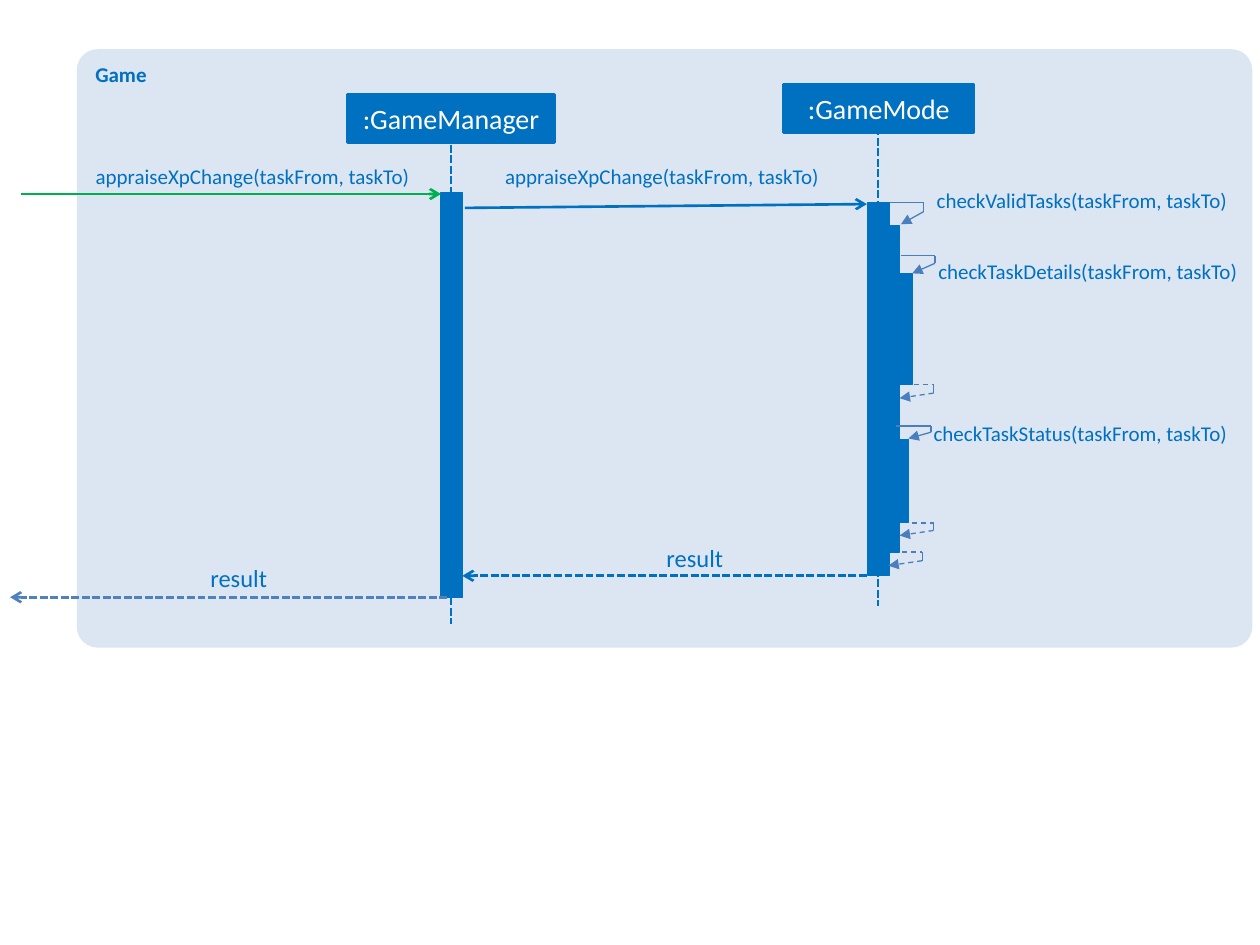
from typing import NamedTuple, Optional

from lxml.etree import SubElement
from pptx import Presentation
from pptx.dml.color import RGBColor
from pptx.enum.dml import MSO_LINE
from pptx.enum.shapes import MSO_CONNECTOR, MSO_SHAPE
from pptx.enum.text import MSO_ANCHOR, MSO_AUTO_SIZE, PP_ALIGN
from pptx.oxml.ns import qn
from pptx.util import Inches, Pt

BLUE = RGBColor(0x00, 0x70, 0xC0)
GREEN = RGBColor(0x00, 0xB0, 0x50)
REPLY_BLUE = RGBColor(0x4F, 0x81, 0xBD)
HOOK_BLUE = RGBColor(0x4B, 0x7E, 0xBC)
PALE_BLUE = RGBColor(0xDC, 0xE6, 0xF2)
WHITE = RGBColor(0xFF, 0xFF, 0xFF)
FONT = "Calibri"


class Box(NamedTuple):
    left: float
    top: float
    width: float
    height: float


class Lifeline(NamedTuple):
    title: str
    header: Box
    x: float
    top: float
    activation: Box


class Message(NamedTuple):
    start: tuple[float, float]
    end: tuple[float, float]
    color: RGBColor
    dash: Optional[MSO_LINE] = None


class Label(NamedTuple):
    text: str
    box: Box
    size: int = 12


class Hook(NamedTuple):
    start_x: float
    corner_x: float
    top: float
    turn_y: float
    end: tuple[float, float]
    dash: Optional[MSO_LINE] = None


LIFELINE_LENGTH = 3.8
LIFELINES = [
    Lifeline(":GameManager", Box(2.76, 0.75, 1.64, 0.38), 3.58, 1.15, Box(3.5, 1.53, 0.17, 3.21)),
    Lifeline(":GameMode", Box(6.22, 0.67, 1.51, 0.38), 6.97, 1.01, Box(6.89, 1.61, 0.17, 2.96)),
]
NESTED_ACTIVATIONS = [
    Box(6.99, 1.79, 0.15, 2.59),
    Box(7.13, 2.17, 0.11, 0.88),
    Box(7.11, 3.49, 0.1, 0.66),
]
MESSAGES = [
    Message((0.17, 1.54), (3.5, 1.54), GREEN),
    Message((3.69, 1.65), (6.88, 1.62), BLUE),
    Message((6.88, 4.57), (3.67, 4.57), BLUE, MSO_LINE.SQUARE_DOT),
    Message((3.55, 4.74), (0.08, 4.74), REPLY_BLUE, MSO_LINE.SQUARE_DOT),
]
HOOKS = [
    Hook(7.06, 7.33, 1.61, 1.68, (7.15, 1.78)),
    Hook(7.15, 7.42, 2.03, 2.09, (7.24, 2.17)),
    Hook(7.11, 7.39, 3.38, 3.43, (7.21, 3.48)),
    Hook(7.25, 7.41, 3.05, 3.12, (7.14, 3.16), MSO_LINE.DASH),
    Hook(7.24, 7.41, 4.15, 4.21, (7.14, 4.25), MSO_LINE.DASH),
    Hook(7.16, 7.32, 4.38, 4.45, (7.05, 4.49), MSO_LINE.DASH),
]
LABELS = [
    Label("appraiseXpChange(taskFrom, taskTo)", Box(0.55, 1.3, 2.7, 0.2)),
    Label("appraiseXpChange(taskFrom, taskTo)", Box(3.56, 1.3, 2.94, 0.2)),
    Label("result", Box(5.06, 4.31, 0.68, 0.24), 14),
    Label("result", Box(1.29, 4.47, 0.83, 0.24), 14),
    Label("checkValidTasks(taskFrom, taskTo)", Box(6.8, 1.49, 2.94, 0.2)),
    Label("checkTaskDetails(taskFrom, taskTo)", Box(6.88, 2.05, 2.94, 0.2)),
    Label("checkTaskStatus(taskFrom, taskTo)", Box(6.8, 3.34, 2.94, 0.2)),
]


def add_block(shapes, box: Box, fill: RGBColor, line_width: float = 0, preset=MSO_SHAPE.RECTANGLE):
    block = shapes.add_shape(preset, *map(Inches, box))
    block.shadow.inherit = False
    block.fill.solid()
    block.fill.fore_color.rgb = fill
    if line_width:
        block.line.color.rgb = fill
        block.line.width = Pt(line_width)
    else:
        block.line.fill.background()
    return block


def write(frame, text: str, size: int, color: RGBColor, align: PP_ALIGN, bold: bool = False) -> None:
    paragraph = frame.paragraphs[0]
    paragraph.alignment = align
    run = paragraph.add_run()
    run.text = text
    run.font.name = FONT
    run.font.size = Pt(size)
    run.font.bold = bold
    run.font.color.rgb = color


def add_line(shapes, start: tuple[float, float], end: tuple[float, float], color: RGBColor,
             width: float, dash: Optional[MSO_LINE] = None, arrow: Optional[str] = None) -> None:
    line = shapes.add_connector(MSO_CONNECTOR.STRAIGHT, *map(Inches, (*start, *end)))
    line.line.color.rgb = color
    line.line.width = Pt(width)
    if dash is not None:
        line.line.dash_style = dash
    if arrow:
        SubElement(line.line._get_or_add_ln(), qn("a:tailEnd"), type=arrow)
    SubElement(line._element.spPr, qn("a:effectLst"))


def add_lifeline(shapes, lifeline: Lifeline) -> None:
    header = add_block(shapes, lifeline.header, BLUE, 1.5)
    header.text_frame.vertical_anchor = MSO_ANCHOR.MIDDLE
    write(header.text_frame, lifeline.title, 16, WHITE, PP_ALIGN.CENTER)
    add_line(shapes, (lifeline.x, lifeline.top), (lifeline.x, lifeline.top + LIFELINE_LENGTH),
             BLUE, 1.5, MSO_LINE.SQUARE_DOT)
    add_block(shapes, lifeline.activation, BLUE, 0.75)


def add_hook(shapes, hook: Hook) -> None:
    parts = shapes.add_group_shape().shapes
    corner = (hook.corner_x, hook.top)
    turn = (hook.corner_x, hook.turn_y)
    add_line(parts, (hook.start_x, hook.top), corner, HOOK_BLUE, 0.75, hook.dash)
    add_line(parts, turn, hook.end, HOOK_BLUE, 0.75, hook.dash, "triangle")
    add_line(parts, corner, turn, HOOK_BLUE, 0.75)


def add_label(shapes, label: Label) -> None:
    frame = shapes.add_textbox(*map(Inches, label.box)).text_frame
    frame.word_wrap = True
    frame.auto_size = MSO_AUTO_SIZE.SHAPE_TO_FIT_TEXT
    frame.margin_left = frame.margin_right = frame.margin_top = frame.margin_bottom = 0
    write(frame, label.text, label.size, BLUE, PP_ALIGN.RIGHT)


def main() -> None:
    deck = Presentation()
    deck.slide_width, deck.slide_height = Inches(10), Inches(7.5)
    shapes = deck.slides.add_slide(deck.slide_layouts[6]).shapes

    game = add_block(shapes, Box(0.61, 0.39, 9.33, 4.75), PALE_BLUE, preset=MSO_SHAPE.ROUNDED_RECTANGLE)
    game.adjustments[0] = 0.035
    game.text_frame.vertical_anchor = MSO_ANCHOR.TOP
    write(game.text_frame, "Game", 12, BLUE, PP_ALIGN.LEFT, bold=True)

    for lifeline in LIFELINES:
        add_lifeline(shapes, lifeline)
    for message in MESSAGES:
        add_line(shapes, message.start, message.end, message.color, 1.5, message.dash, "arrow")
    for activation in NESTED_ACTIVATIONS:
        add_block(shapes, activation, BLUE, 0.75)
    for hook in HOOKS:
        add_hook(shapes, hook)
    for label in LABELS:
        add_label(shapes, label)

    deck.save("out.pptx")


if __name__ == "__main__":
    main()
